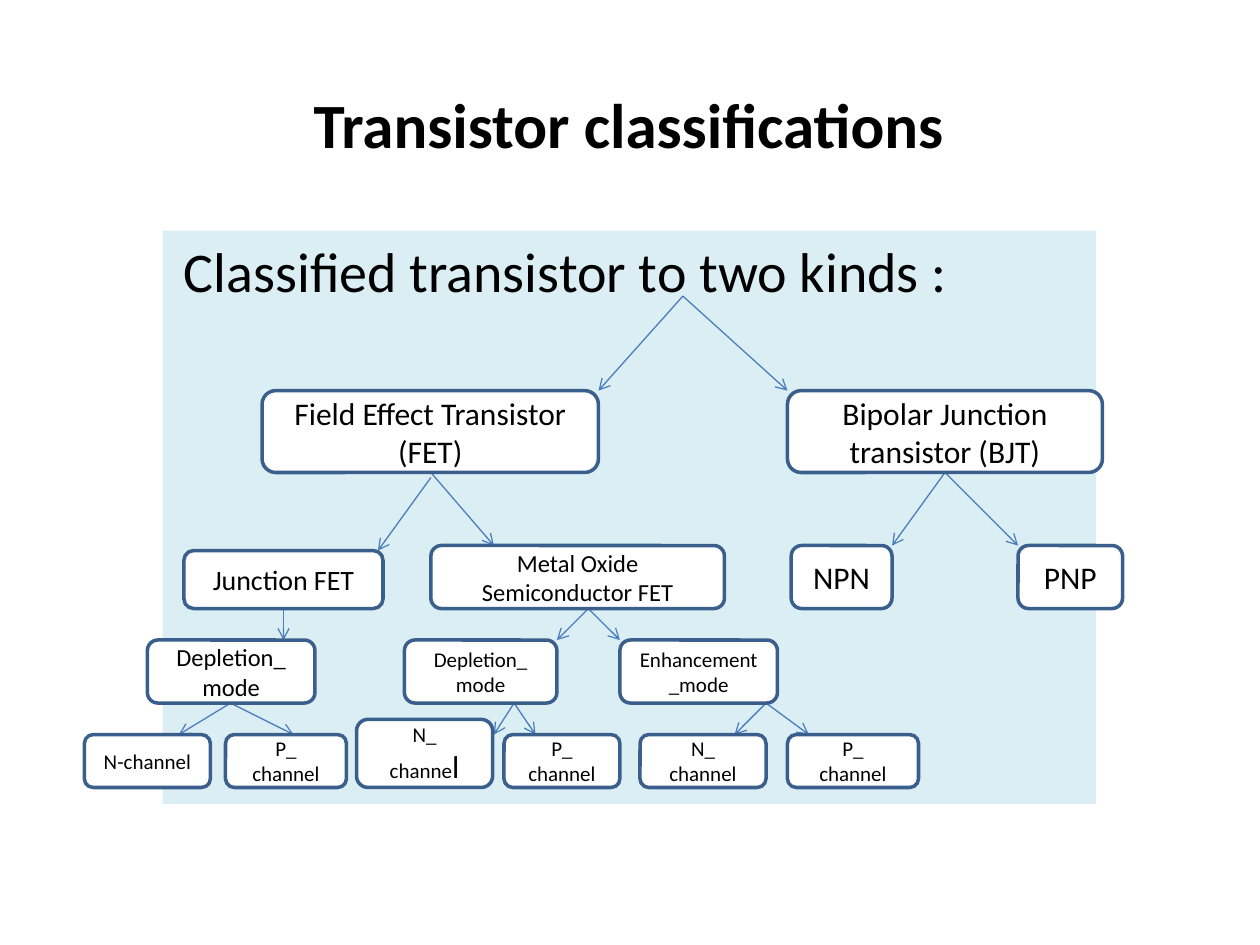
from typing import NamedTuple

import lxml.etree
import pptx
import pptx.dml.color
import pptx.enum.shapes
import pptx.enum.text
import pptx.oxml.ns
import pptx.util
from pptx.util import Inches

FONT = "Calibri"
BLACK, WHITE = "000000", "FFFFFF"
PANEL_FILL = "DBEEF4"
BOX_LINE, ARROW_LINE = "3A5F8C", "4B7EBC"
ALIGN = pptx.enum.text.PP_ALIGN
ANCHOR = pptx.enum.text.MSO_ANCHOR
SHAPES = pptx.enum.shapes.MSO_SHAPE


class Box(NamedTuple):
    text: str
    left: float
    top: float
    width: float
    height: float
    size: float
    enlarged_ending: str = ""


class Fork(NamedTuple):
    """Arrows that leave one point for several targets."""
    start: tuple[float, float]
    targets: list[tuple[float, float]]


FORKS = [
    Fork((5.42, 2.35), [(4.75, 3.1), (6.25, 3.1)]),
    Fork((7.5, 3.75), [(7.08, 4.33), (8.08, 4.33)]),
    Fork((3.42, 3.75), [(3.92, 4.33)]),
    Fork((3.42, 3.79), [(3, 4.37)]),
    Fork((4.67, 4.83), [(4.42, 5.08), (4.92, 5.08)]),
    Fork((2.25, 4.83), [(2.25, 5.08)]),
    Fork((6.08, 5.58), [(5.83, 5.83), (6.42, 5.83)]),
    Fork((4.08, 5.58), [(3.92, 5.83), (4.25, 5.83)]),
    Fork((1.83, 5.58), [(1.42, 5.83), (2.33, 5.83)]),
]

BOXES = [
    Box("Field Effect Transistor (FET)", 2.08, 3.1, 2.67, 0.65, 18),
    Box("Bipolar Junction transistor (BJT)", 6.25, 3.1, 2.5, 0.65, 18),
    Box("Junction FET", 1.46, 4.37, 1.58, 0.46, 16),
    Box("Metal Oxide Semiconductor FET", 3.42, 4.33, 2.33, 0.5, 14),
    Box("NPN", 6.28, 4.33, 0.8, 0.5, 18),
    Box("PNP", 8.08, 4.33, 0.83, 0.5, 18),
    Box("Depletion_\nmode", 1.17, 5.08, 1.33, 0.5, 14),
    Box("Depletion_\nmode", 3.21, 5.08, 1.21, 0.5, 12),
    Box("Enhancement_mode", 4.92, 5.08, 1.25, 0.5, 12),
    Box("N-channel", 0.67, 5.83, 1, 0.42, 12),
    Box("P_\nchannel", 1.79, 5.83, 0.96, 0.42, 12),
    Box("N_\nchanne", 2.83, 5.71, 1.08, 0.54, 12, enlarged_ending="l"),
    Box("P_\nchannel", 4, 5.83, 0.92, 0.42, 12),
    Box("N_\nchannel", 5.08, 5.83, 1, 0.42, 12),
    Box("P_\nchannel", 6.25, 5.83, 1.04, 0.42, 12),
]


def color(value: str) -> pptx.dml.color.RGBColor:
    return pptx.dml.color.RGBColor.from_string(value)


def write_text(shape, text: str, *, size: float, bold: bool = False,
               align=ALIGN.CENTER, anchor=ANCHOR.MIDDLE) -> None:
    """Fill a shape with one paragraph for each line of text."""
    frame = shape.text_frame
    frame.word_wrap = True
    frame.vertical_anchor = anchor
    frame.text = text
    for paragraph in frame.paragraphs:
        paragraph.alignment = align
        font = paragraph.font
        font.name, font.size, font.bold = FONT, pptx.util.Pt(size), bold
        font.color.rgb = color(BLACK)
        for run in paragraph.runs:
            run.font.name, run.font.size, run.font.bold = FONT, font.size, bold
            run.font.color.rgb = color(BLACK)


def add_filled_shape(slide, kind, left: float, top: float, width: float,
                     height: float, fill: str):
    shape = slide.shapes.add_shape(
        kind, Inches(left), Inches(top), Inches(width), Inches(height))
    shape.shadow.inherit = False
    shape.fill.solid()
    shape.fill.fore_color.rgb = color(fill)
    return shape


def draw_panel(slide) -> None:
    panel = add_filled_shape(slide, SHAPES.RECTANGLE, 1.29, 1.83, 7.41, 4.55, PANEL_FILL)
    panel.line.fill.background()
    write_text(panel, "Classified transistor to two kinds :", size=32,
               align=ALIGN.LEFT, anchor=ANCHOR.TOP)
    panel.text_frame.margin_left = Inches(0.17)


def draw_box(slide, box: Box) -> None:
    shape = add_filled_shape(slide, SHAPES.ROUNDED_RECTANGLE, box.left, box.top,
                             box.width, box.height, WHITE)
    shape.line.color.rgb = color(BOX_LINE)
    shape.line.width = pptx.util.Pt(2)
    write_text(shape, box.text, size=box.size)
    if box.enlarged_ending:
        run = shape.text_frame.paragraphs[-1].add_run()
        run.text = box.enlarged_ending
        run.font.name, run.font.size = FONT, pptx.util.Pt(18)
        run.font.color.rgb = color(BLACK)


def draw_fork(slide, fork: Fork) -> None:
    for target in fork.targets:
        arrow = slide.shapes.add_connector(
            pptx.enum.shapes.MSO_CONNECTOR.STRAIGHT,
            *(Inches(value) for value in (*fork.start, *target)))
        arrow.line.color.rgb = color(ARROW_LINE)
        arrow.line.width = pptx.util.Pt(0.75)
        qualified = pptx.oxml.ns.qn
        lxml.etree.SubElement(arrow.line._get_or_add_ln(), qualified("a:tailEnd"), type="arrow")
        lxml.etree.SubElement(arrow._element.spPr, qualified("a:effectLst"))


def main() -> None:
    presentation = pptx.Presentation()
    presentation.slide_width, presentation.slide_height = Inches(10), Inches(7.5)
    slide = presentation.slides.add_slide(presentation.slide_layouts[6])

    title = slide.shapes.add_textbox(Inches(1.15), Inches(0.58), Inches(7.68), Inches(0.79))
    write_text(title, "Transistor classifications", size=36, bold=True)
    draw_panel(slide)
    for fork in FORKS:
        draw_fork(slide, fork)
    for box in BOXES:
        draw_box(slide, box)
    presentation.save("out.pptx")


if __name__ == "__main__":
    main()
